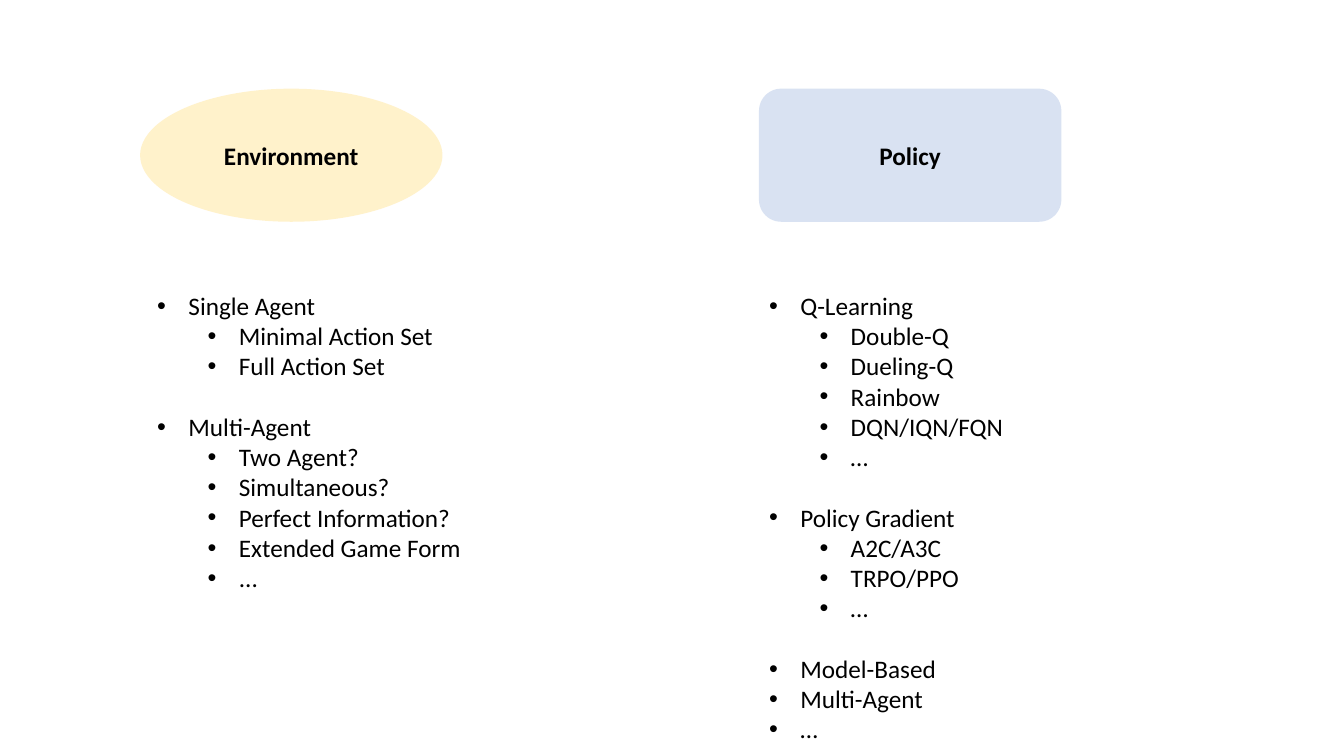
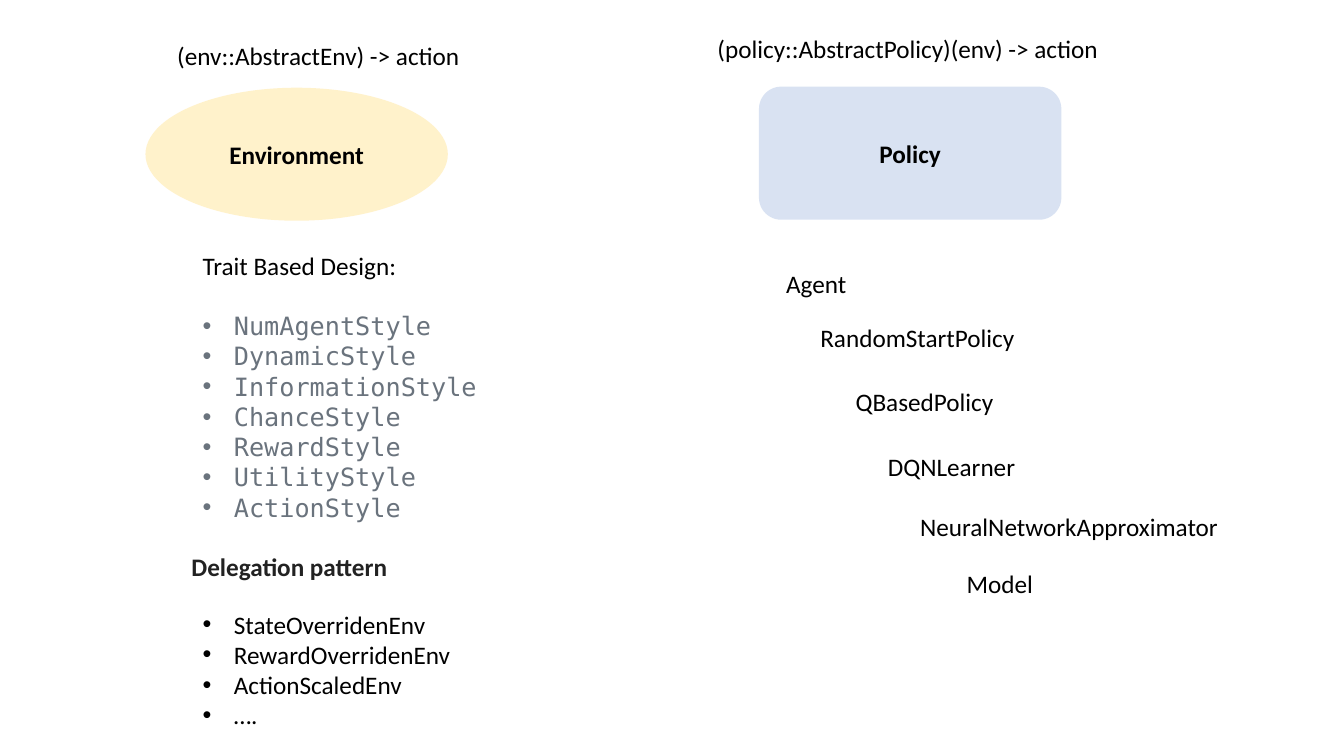
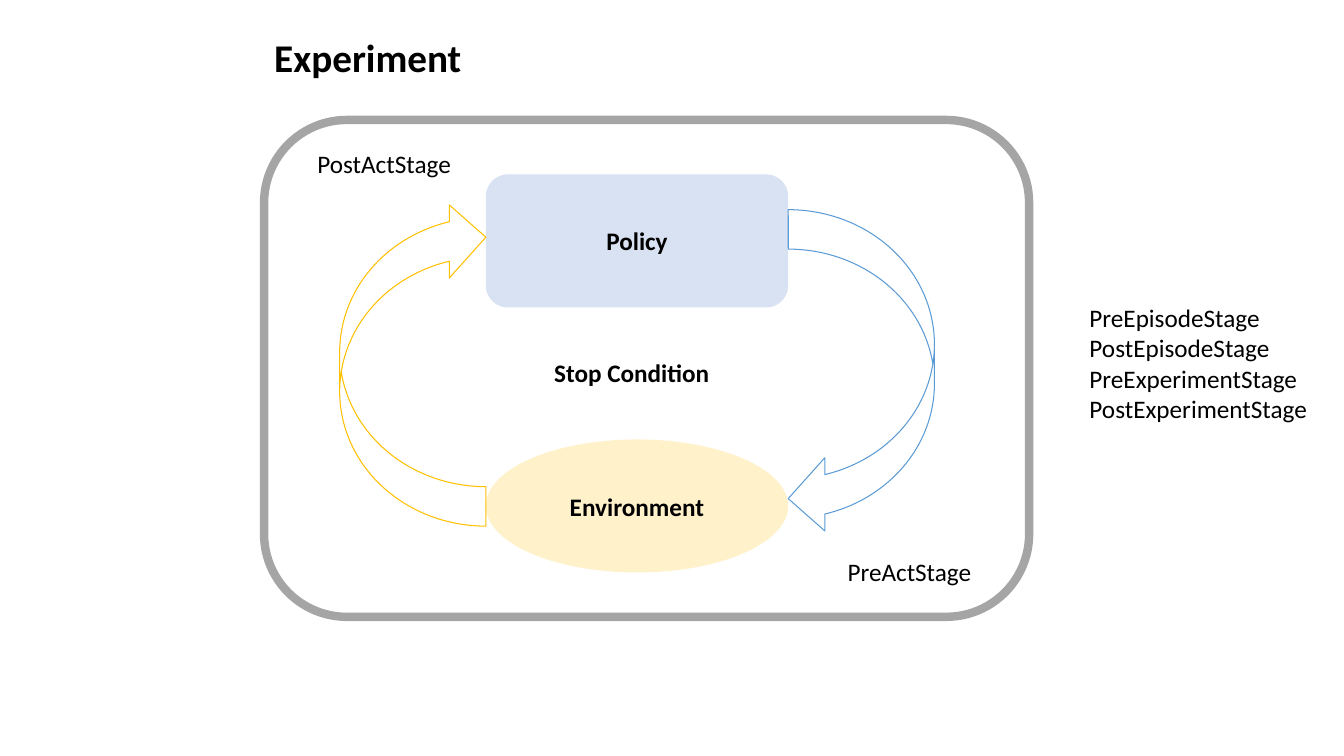
from dataclasses import dataclass
from typing import NamedTuple

from lxml.etree import SubElement
from pptx import Presentation
from pptx.dml.color import RGBColor
from pptx.enum.shapes import MSO_SHAPE
from pptx.enum.text import MSO_ANCHOR, MSO_AUTO_SIZE, PP_ALIGN
from pptx.oxml.ns import qn
from pptx.util import Inches, Pt

SLIDE_WIDTH = Inches(13.33)
SLIDE_HEIGHT = Inches(7.5)
COLUMN = SLIDE_WIDTH / 40
ROW = SLIDE_HEIGHT / 30
TITLE_ONLY, TWO_CONTENT = 5, 3


@dataclass(frozen=True)
class TextStyle:
    size: float = 18
    color: str = "000000"
    bold: bool = False
    font: str = "Calibri"


@dataclass(frozen=True)
class Theme:
    body: TextStyle = TextStyle()
    strong: TextStyle = TextStyle(bold=True)
    title: TextStyle = TextStyle(size=28, bold=True)
    subheading: TextStyle = TextStyle(color="222222", bold=True)
    code: TextStyle = TextStyle(color="6A737D", font="DejaVu Sans Mono")
    environment: str = "FFE699"
    policy: str = "B4C7E7"
    observation_line: str = "FFC000"
    action_line: str = "5B9BD5"
    frame_line: str = "A5A5A5"
    node_opacity: int = 50
    arrow_width: float = 0.75
    frame_width: float = 6
    paragraph_gap: float = 21.6
    bullet_indent: float = 0.31
    level_indent: float = 0.5


THEME = Theme()


class Area(NamedTuple):
    column: float
    row: float
    columns: float
    rows: float = 1.6

    def box(self) -> tuple[int, int, int, int]:
        return (round(self.column * COLUMN), round(self.row * ROW),
                round(self.columns * COLUMN), round(self.rows * ROW))


class Item(NamedTuple):
    text: str
    level: int = 0
    gap: bool = False
    bullet: bool = True
    style: TextStyle = THEME.body


class Node(NamedTuple):
    label: str
    outline: MSO_SHAPE
    fill: str


class Label(NamedTuple):
    text: str
    area: Area
    style: TextStyle = THEME.body


class Arrow(NamedTuple):
    area: Area
    rotation: int
    color: str


ENVIRONMENT = Node("Environment", MSO_SHAPE.OVAL, THEME.environment)
POLICY = Node("Policy", MSO_SHAPE.ROUNDED_RECTANGLE, THEME.policy)


def group(heading: str, *children: str, gap: bool = False) -> list[Item]:
    return [Item(heading, gap=gap)] + [Item(child, level=1) for child in children]


ENVIRONMENT_KINDS = [
    *group("Single Agent", "Minimal Action Set", "Full Action Set"),
    *group("Multi-Agent", "Two Agent?", "Simultaneous?", "Perfect Information?",
           "Extended Game Form", "...", gap=True),
]
POLICY_KINDS = [
    *group("Q-Learning", "Double-Q", "Dueling-Q", "Rainbow", "DQN/IQN/FQN", "…"),
    *group("Policy Gradient", "A2C/A3C", "TRPO/PPO", "…", gap=True),
    Item("Model-Based", gap=True), Item("Multi-Agent"), Item("…"),
]
TRAITS = ["NumAgentStyle", "DynamicStyle", "InformationStyle", "ChanceStyle",
          "RewardStyle", "UtilityStyle", "ActionStyle"]
TRAIT_ITEMS = [Item("Trait Based Design:", bullet=False)] + [
    Item(trait, gap=index == 0, style=THEME.code) for index, trait in enumerate(TRAITS)]
WRAPPER_ITEMS = [Item(name) for name in
                 ("StateOverridenEnv", "RewardOverridenEnv", "ActionScaledEnv", "….")]
DESIGN_LABELS = [
    Label("(env::AbstractEnv) -> action", Area(4.98, 1.4, 11.22)),
    Label("(policy::AbstractPolicy)(env) -> action", Area(21.06, 1.12, 13.74)),
    Label("Delegation pattern", Area(5.4, 21.68, 7.38), THEME.subheading),
    Label("Agent", Area(23.1, 10.44, 2.43)),
    Label("RandomStartPolicy", Area(24.12, 12.6, 6.42)),
    Label("QBasedPolicy", Area(25.17, 15.12, 4.74)),
    Label("DQNLearner", Area(26.13, 17.72, 4.44)),
    Label("NeuralNetworkApproximator", Area(27.09, 20.08, 9.54)),
    Label("Model", Area(28.47, 22.36, 2.61)),
]
EXPERIMENT_LABELS = [
    Label("Stop Condition", Area(16.2, 14, 5.25), THEME.strong),
    Label("PreActStage", Area(24.93, 21.88, 4.32)),
    Label("PostActStage", Area(9.15, 5.68, 4.62)),
    Label("PreEpisodeStage\nPostEpisodeStage\nPreExperimentStage\nPostExperimentStage",
          Area(32.13, 11.8, 7.14, 5.24)),
]
EXPERIMENT_ARROWS = [
    Arrow(Area(7.44, 11.52, 9.69, 5.8), 270, THEME.observation_line),
    Arrow(Area(20.79, 11.88, 9.69, 5.8), 90, THEME.action_line),
]


def add_run(paragraph, text: str, style: TextStyle) -> None:
    run = paragraph.add_run()
    run.text = text
    run.font.name = style.font
    run.font.size = Pt(style.size)
    run.font.bold = style.bold
    run.font.color.rgb = RGBColor.from_string(style.color)


def place(shape, area: Area) -> None:
    shape.left, shape.top, shape.width, shape.height = area.box()


def set_bullet(paragraph, item: Item) -> None:
    properties = paragraph._p.get_or_add_pPr()
    indent = Inches(THEME.bullet_indent) if item.bullet else 0
    properties.set("marL", str(indent + item.level * Inches(THEME.level_indent)))
    properties.set("indent", str(-indent))
    if item.bullet:
        SubElement(properties, qn("a:buFont")).set("typeface", "Arial")
        SubElement(properties, qn("a:buChar")).set("char", "•")
    else:
        SubElement(properties, qn("a:buNone"))


def fill_list(placeholder, area: Area, items: list[Item]) -> None:
    place(placeholder, area)
    frame = placeholder.text_frame
    frame.word_wrap = True
    frame.auto_size = MSO_AUTO_SIZE.NONE
    frame.vertical_anchor = MSO_ANCHOR.TOP
    for index, item in enumerate(items):
        paragraph = frame.paragraphs[0] if index == 0 else frame.add_paragraph()
        paragraph.level = item.level
        set_bullet(paragraph, item)
        paragraph.space_before = Pt(THEME.paragraph_gap if item.gap else 0)
        add_run(paragraph, item.text, item.style)


def set_title(slide, label: Label) -> None:
    title = slide.shapes.title
    place(title, label.area)
    frame = title.text_frame
    frame.word_wrap = False
    frame.auto_size = MSO_AUTO_SIZE.NONE
    frame.vertical_anchor = MSO_ANCHOR.TOP
    frame.paragraphs[0].alignment = PP_ALIGN.LEFT
    add_run(frame.paragraphs[0], label.text, label.style)


def add_label(slide, label: Label) -> None:
    frame = slide.shapes.add_textbox(*label.area.box()).text_frame
    frame.word_wrap = False
    for index, line in enumerate(label.text.split("\n")):
        paragraph = frame.paragraphs[0] if index == 0 else frame.add_paragraph()
        add_run(paragraph, line, label.style)


def add_node(slide, node: Node, column: float, row: float) -> None:
    shape = slide.shapes.add_shape(node.outline, *Area(column, row, 9, 5.28).box())
    shape.shadow.inherit = False
    shape.fill.solid()
    shape.fill.fore_color.rgb = RGBColor.from_string(node.fill)
    color = shape._element.spPr.find(qn("a:solidFill")).find(qn("a:srgbClr"))
    SubElement(color, qn("a:alpha")).set("val", str(THEME.node_opacity * 1000))
    shape.line.fill.background()
    frame = shape.text_frame
    frame.vertical_anchor = MSO_ANCHOR.MIDDLE
    frame.paragraphs[0].alignment = PP_ALIGN.CENTER
    add_run(frame.paragraphs[0], node.label, THEME.strong)


def add_outline(slide, outline: MSO_SHAPE, area: Area, color: str, width: float):
    shape = slide.shapes.add_shape(outline, *area.box())
    shape.shadow.inherit = False
    shape.fill.background()
    shape.line.color.rgb = RGBColor.from_string(color)
    shape.line.width = Pt(width)
    return shape


def add_arrow(slide, arrow: Arrow) -> None:
    shape = add_outline(slide, MSO_SHAPE.CURVED_DOWN_ARROW, arrow.area,
                        arrow.color, THEME.arrow_width)
    shape.rotation = arrow.rotation
    for index, value in enumerate((0.27, 0.5, 0.25)):
        shape.adjustments[index] = value


def add_list_slide(presentation, lists: list[tuple[Area, list[Item]]]):
    slide = presentation.slides.add_slide(presentation.slide_layouts[TWO_CONTENT])
    title = slide.shapes.title.element
    title.getparent().remove(title)
    for placeholder, (area, items) in zip(slide.placeholders, lists):
        fill_list(placeholder, area, items)
    return slide


def build_overview(presentation) -> None:
    slide = add_list_slide(presentation, [
        (Area(4.38, 11.32, 9.75, 14.96), ENVIRONMENT_KINDS),
        (Area(22.59, 11.32, 8.28, 18.6), POLICY_KINDS),
    ])
    add_node(slide, ENVIRONMENT, 4.17, 3.52)
    add_node(slide, POLICY, 22.59, 3.52)


def build_design(presentation) -> None:
    slide = add_list_slide(presentation, [
        (Area(5.73, 9.72, 10.5, 11.32), TRAIT_ITEMS),
        (Area(5.73, 23.96, 8.85, 5.24), WRAPPER_ITEMS),
    ])
    add_node(slide, ENVIRONMENT, 4.33, 3.48)
    add_node(slide, POLICY, 22.59, 3.44)
    for label in DESIGN_LABELS:
        add_label(slide, label)


def build_experiment(presentation) -> None:
    slide = presentation.slides.add_slide(presentation.slide_layouts[TITLE_ONLY])
    set_title(slide, Label("Experiment", Area(7.86, 1.12, 6.24, 2.28), THEME.title))
    add_node(slide, ENVIRONMENT, 14.46, 17.44)
    add_node(slide, POLICY, 14.46, 6.92)
    for arrow in EXPERIMENT_ARROWS:
        add_arrow(slide, arrow)
    add_outline(slide, MSO_SHAPE.ROUNDED_RECTANGLE, Area(7.86, 4.76, 22.77, 19.72),
                THEME.frame_line, THEME.frame_width)
    for label in EXPERIMENT_LABELS:
        add_label(slide, label)


def main() -> None:
    presentation = Presentation()
    presentation.slide_width = SLIDE_WIDTH
    presentation.slide_height = SLIDE_HEIGHT
    build_overview(presentation)
    build_design(presentation)
    build_experiment(presentation)
    presentation.save("out.pptx")


if __name__ == "__main__":
    main()
